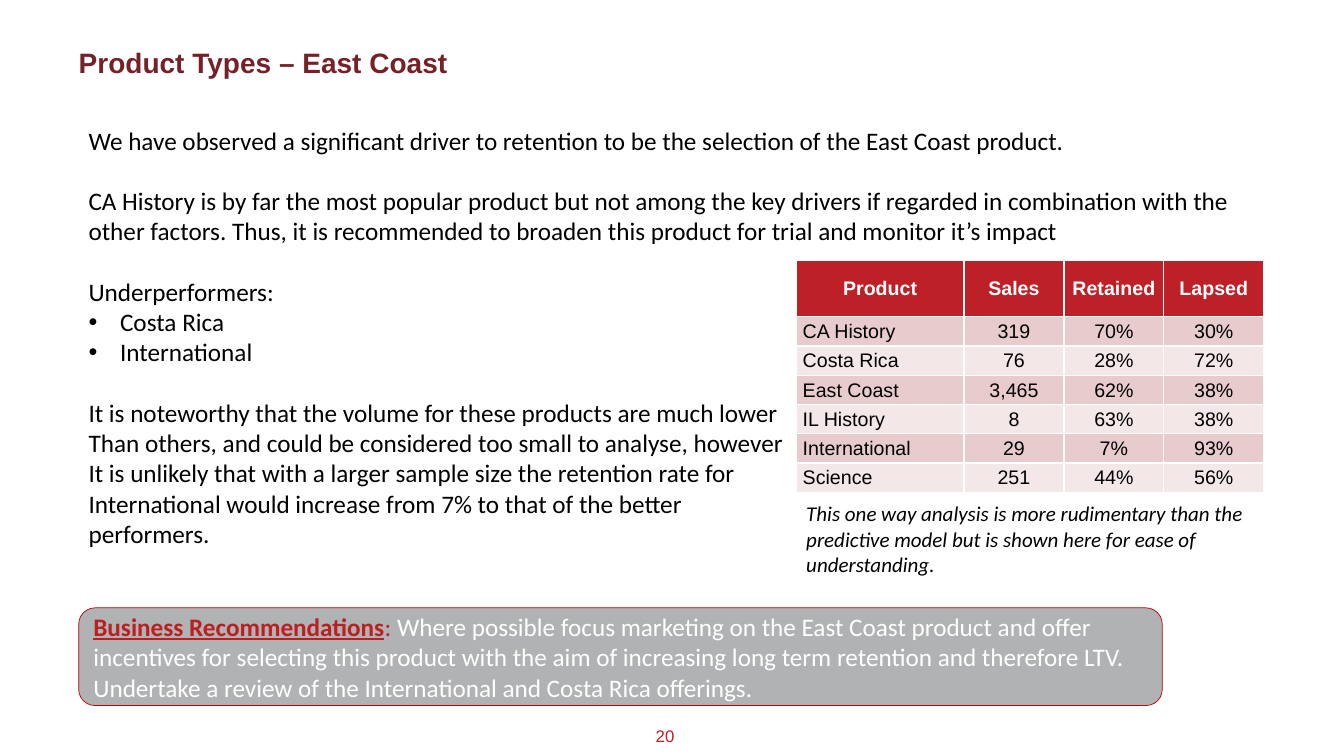
from lxml import etree
from pptx import Presentation
from pptx.dml.color import RGBColor
from pptx.enum.shapes import MSO_SHAPE
from pptx.enum.text import MSO_ANCHOR, PP_ALIGN
from pptx.oxml.ns import qn
from pptx.util import Pt

LEFT, CENTER = PP_ALIGN.LEFT, PP_ALIGN.CENTER
MIDDLE = MSO_ANCHOR.MIDDLE
ROUNDED = MSO_SHAPE.ROUNDED_RECTANGLE
RED, BLACK, WHITE = "BD2027", "000000", "FFFFFF"


def rgb(value):
    return RGBColor.from_string(value)


def style(font, size, color, name="Calibri", bold=False, italic=False):
    font.name, font.size = name, Pt(size)
    font.bold, font.italic = bold, italic
    font.color.rgb = rgb(color)


prs = Presentation()
prs.slide_width, prs.slide_height = Pt(960), Pt(540)
slide = prs.slides.add_slide(prs.slide_layouts[6])
shapes = slide.shapes

page_number = shapes.add_textbox(Pt(458.6), Pt(514.8), Pt(33), Pt(18)).text_frame
page_number.text = "20"
page_number.paragraphs[0].alignment = CENTER
style(page_number.paragraphs[0].runs[0].font, 12, RED, "Arial")

title = shapes.add_textbox(Pt(56.2), Pt(36), Pt(564), Pt(24)).text_frame
title.margin_left = title.margin_top = title.margin_right = title.margin_bottom = 0
title.word_wrap = True
title.text = "Product Types – East Coast"
title.paragraphs[0].line_spacing = Pt(20.3)
style(title.paragraphs[0].runs[0].font, 20, "752127", "Arial", bold=True)

findings = [
    ["We have observed a significant driver to retention to be the selection of the East Coast product."],
    ["CA History is by far the most popular product but not among the key drivers if regarded in "
     "combination with the other factors. Thus, it is recommended to broaden this product for trial "
     "and monitor it’s impact"],
    ["Underperformers:", "Costa Rica", "International"],
    ["It is noteworthy that the volume for these products are much lower",
     "Than others, and could be considered too small to analyse, however",
     "It is unlikely that with a larger sample size the retention rate for",
     "International would increase from 7% to that of the better",
     "performers."],
]
underperformers = ("Costa Rica", "International")
body = shapes.add_textbox(Pt(56.2), Pt(85.7), Pt(846.7), Pt(334)).text_frame
body.word_wrap = True
for group_index, group in enumerate(findings):
    for line_index, line in enumerate(group):
        first = group_index == line_index == 0
        paragraph = body.paragraphs[0] if first else body.add_paragraph()
        paragraph.text = line
        if group_index and line_index == 0:
            paragraph.space_before = Pt(21.6)
        if line in underperformers:
            properties = paragraph._p.get_or_add_pPr()
            properties.set("marL", str(Pt(22.5)))
            properties.set("indent", str(-Pt(22.5)))
            etree.SubElement(properties, qn("a:buFont"), typeface="Arial")
            etree.SubElement(properties, qn("a:buChar"), char="•")
        style(paragraph.runs[0].font, 18, BLACK)

product_rows = [
    ("Product", "Sales", "Retained", "Lapsed"),
    ("CA History", "319", "70%", "30%"),
    ("Costa Rica", "76", "28%", "72%"),
    ("East Coast", "3,465", "62%", "38%"),
    ("IL History", "8", "63%", "38%"),
    ("International", "29", "7%", "93%"),
    ("Science", "251", "44%", "56%"),
]
products = shapes.add_table(7, 4, Pt(568.8), Pt(186), Pt(334), Pt(165.6)).table
for column_index, column in enumerate(products.columns):
    column.width = Pt(71.4 if column_index else 119.8)
for row_index, values in enumerate(product_rows):
    header = row_index == 0
    products.rows[row_index].height = Pt(40.2 if header else 20.9)
    fill = RED if header else ("F4E7E8", "E8CCCD")[row_index % 2]
    for column_index, value in enumerate(values):
        cell = products.cell(row_index, column_index)
        label = column_index == 0 and not header
        cell.text = value
        cell.vertical_anchor = MIDDLE
        cell.margin_left = Pt(4.6 if label else 0.7)
        cell.margin_right = cell.margin_top = Pt(0.7)
        cell.margin_bottom = 0
        for side in ("a:lnL", "a:lnR", "a:lnT", "a:lnB"):
            border = etree.SubElement(cell._tc.get_or_add_tcPr(), qn(side), w=str(Pt(1)))
            border_fill = etree.SubElement(border, qn("a:solidFill"))
            etree.SubElement(border_fill, qn("a:srgbClr"), val=WHITE)
        cell.fill.solid()
        cell.fill.fore_color.rgb = rgb(fill)
        paragraph = cell.text_frame.paragraphs[0]
        paragraph.alignment = LEFT if label else CENTER
        style(paragraph.runs[0].font, 14, WHITE if header else BLACK, "Arial", bold=header)

caveat = shapes.add_textbox(Pt(568.8), Pt(354.2), Pt(334), Pt(62)).text_frame
caveat.word_wrap = True
caveat.text = ("This one way analysis is more rudimentary than the predictive model "
               "but is shown here for ease of understanding.")
style(caveat.paragraphs[0].runs[0].font, 15, BLACK, italic=True)

recommendation = shapes.add_shape(ROUNDED, Pt(56.2), Pt(434.2), Pt(774), Pt(69.8))
recommendation.shadow.inherit = False
recommendation.fill.solid()
recommendation.fill.fore_color.rgb = rgb("B0B2B3")
recommendation.line.color.rgb = rgb("C00000")
recommendation.line.width = Pt(0.5)
advice = recommendation.text_frame
advice.word_wrap = True
advice.vertical_anchor = MIDDLE
advice.paragraphs[0].alignment = LEFT
advice_parts = [
    ("Business Recommendations", "BD1E20", True),
    (": ", "BD1E20", False),
    ("Where possible focus marketing on the East Coast product and offer incentives for selecting "
     "this product with the aim of increasing long term retention and therefore LTV. Undertake a "
     "review of the International and Costa Rica offerings.", WHITE, False),
]
for words, color, emphasised in advice_parts:
    run = advice.paragraphs[0].add_run()
    run.text = words
    style(run.font, 18, color, bold=emphasised)
    run.font.underline = emphasised

prs.save("out.pptx")
